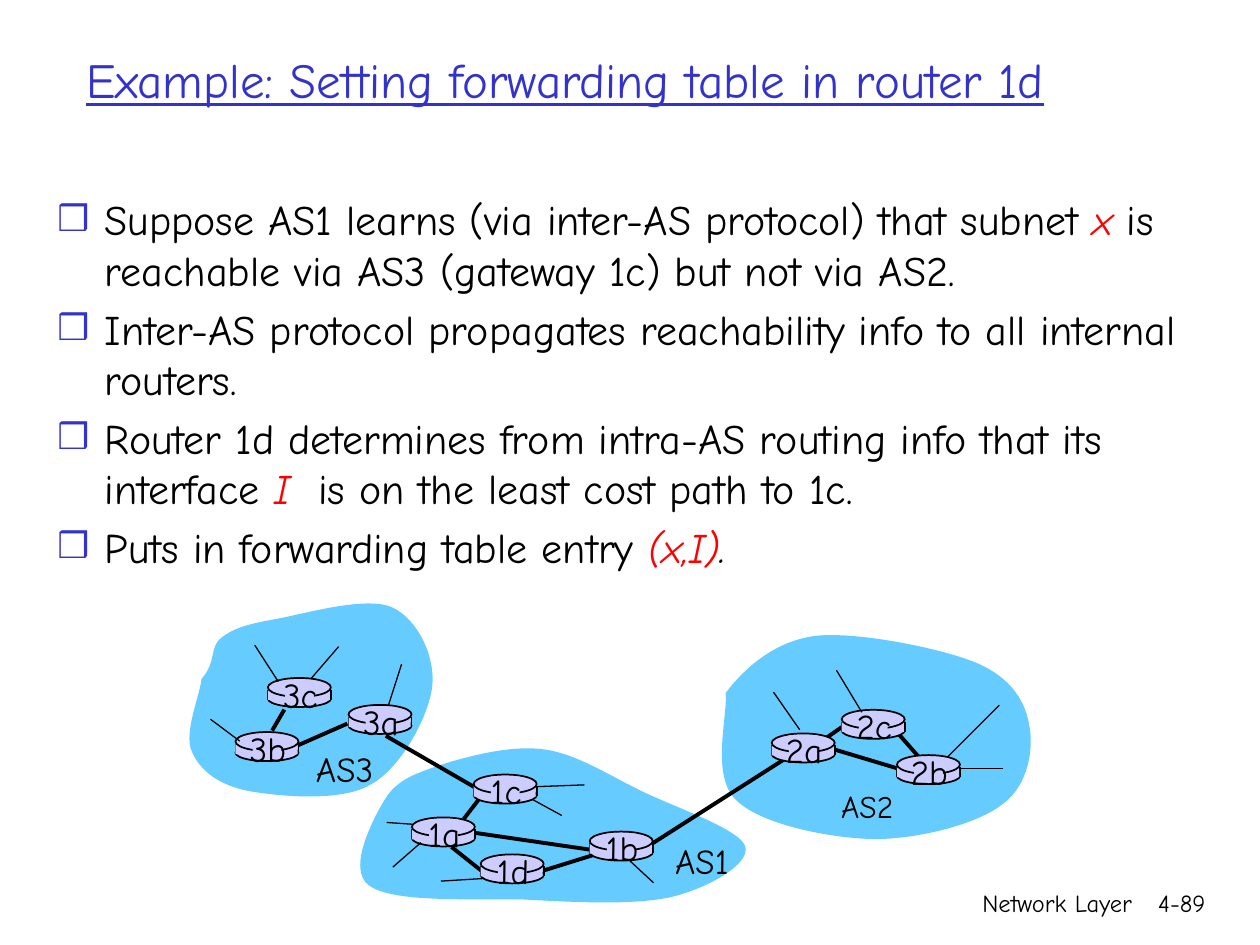
from lxml import etree
from pptx import Presentation
from pptx.dml.color import RGBColor
from pptx.enum.shapes import MSO_CONNECTOR, MSO_SHAPE
from pptx.enum.text import MSO_ANCHOR, MSO_AUTO_SIZE, PP_ALIGN
from pptx.oxml.ns import qn
from pptx.util import Pt

STRAIGHT = MSO_CONNECTOR.STRAIGHT
OVAL, RECTANGLE = MSO_SHAPE.OVAL, MSO_SHAPE.RECTANGLE
TOP, MIDDLE = MSO_ANCHOR.TOP, MSO_ANCHOR.MIDDLE
NO_FIT = MSO_AUTO_SIZE.NONE
LEFT, CENTER, RIGHT = PP_ALIGN.LEFT, PP_ALIGN.CENTER, PP_ALIGN.RIGHT

FONT = "Comic Neue"
BLACK = RGBColor(0x00, 0x00, 0x00)
RED = RGBColor(0xFF, 0x00, 0x00)
BLUE = RGBColor(0x33, 0x33, 0xCC)
SKY = RGBColor(0x66, 0xCC, 0xFF)
LILAC = RGBColor(0xCC, 0xCC, 0xFF)

# Each paragraph is a list of (text, colour, italic) runs
BULLETS = [
    [("Suppose AS1 learns (via inter-AS protocol) that subnet ", BLACK, False),
     ("x", RED, True),
     (" is reachable via AS3 (gateway 1c) but not via AS2.", BLACK, False)],
    [("Inter-AS protocol propagates reachability info to all internal routers.",
      BLACK, False)],
    [("Router 1d determines from intra-AS routing info that its interface ", BLACK, False),
     ("I", RED, True), ("  is on the least cost path to 1c.", BLACK, False)],
    [("Puts in forwarding table entry ", BLACK, False), ("(x,I)", RED, True),
     (".", BLACK, True)],
]

# Each cloud: start point, then Bezier segments (two controls and an end)
CLOUDS = {
    "AS2": ((414.7, 396), [
        (425, 382.5, 441.5, 367, 465, 363.5), (488, 360.5, 535.5, 370, 556, 378),
        (576.5, 386, 585.5, 399.5, 588, 413.5), (591, 427, 588, 448.5, 573, 459.5),
        (558.5, 471, 525, 479.5, 499.5, 479.5), (474, 479, 434, 471, 420.5, 457),
        (406, 443, 416, 409, 414.7, 396)]),
    "AS3": ((115.2, 388), [
        (124, 378, 119.5, 370, 126.5, 364.5), (134, 358.5, 142.5, 356.5, 159, 353.5),
        (175, 350.5, 209, 340.5, 224, 347), (238.5, 353.5, 249, 375, 247, 392.5),
        (245, 409, 229.5, 439, 211.5, 448.5), (194.5, 458.5, 159, 455, 142, 452),
        (124.5, 448.5, 114, 440, 109.5, 429), (105, 418.5, 114.5, 396.5, 115.2, 388)]),
    "AS1": ((220.5, 456), [
        (228, 444, 242, 440.5, 257, 435.5), (272.5, 431, 294.5, 425.5, 312.5, 428.5),
        (330.5, 431.5, 348, 443, 366.5, 452), (386, 461.5, 423.5, 474, 426, 484),
        (428.5, 494, 404.5, 507.5, 384, 512.5), (362, 517.5, 327.5, 515.5, 299, 514),
        (270, 513.5, 224, 516, 211, 506), (198, 497, 213, 468, 220.5, 456)]),
}

# Label, left, top, width, height, size
CLOUD_LABELS = [("AS3", 173.5, 423.4, 55.5, 31, 20), ("AS1", 378.7, 476.3, 52, 31, 20),
                ("AS2", 473.6, 446.4, 51, 29, 18)]

# Left and top of each router
ROUTERS = {
    "3b": (134.6, 418.3), "1d": (274.7, 488.2), "3a": (199.2, 402.8),
    "1c": (270.7, 442.6), "2a": (441, 419.1), "1a": (235.4, 467.1),
    "2c": (481, 405.6), "2b": (512.6, 431.5), "1b": (337, 475.2),
    "3c": (153.1, 387.4),
}

# Links between routers, and short stubs to the hosts around them
LINKS = [
    (477.5, 428.5, 512.5, 439), (514, 420, 525, 432.5), (469.5, 423.5, 482.5, 414.5),
    (310.5, 497.5, 341, 488), (258, 484, 275, 497.5), (272, 476, 337, 485.5),
    (265, 468, 273.5, 457), (170, 426, 198.5, 413.5), (220.5, 420.5, 271.5, 450),
    (372, 482.5, 448, 434), (162.5, 405.5, 155.5, 417.5),
]
STUBS = [
    (120.3, 411, 137, 423.5), (193.5, 369.5, 178, 387.5), (145.6, 368.7, 159, 389.5),
    (229.5, 379.5, 222, 403), (548, 439.2, 573, 439.2), (541.5, 432.5, 571, 403),
    (492.5, 407, 478, 383), (457, 417, 442, 395.5), (240.5, 481.5, 224.5, 495.5),
    (235.5, 471, 221, 470), (276.5, 502, 252, 503.5), (307.5, 449.5, 334, 448.5),
    (360, 492, 373.5, 504.5), (304.5, 457, 321, 466),
]


class SlideBuilder:
    def __init__(self, slide):
        self.slide = slide
        self.shapes = slide.shapes

    def run(self, paragraph, text, size, color=BLACK, italic=False, underline=False):
        run = paragraph.add_run()
        run.text = text
        font = run.font
        font.name, font.size, font.color.rgb = FONT, Pt(size), color
        font.italic, font.underline = italic, underline

    def place(self, shape, left, top, width, height, anchor):
        shape.left, shape.top = Pt(left), Pt(top)
        shape.width, shape.height = Pt(width), Pt(height)
        frame = shape.text_frame
        frame.auto_size, frame.vertical_anchor, frame.word_wrap = NO_FIT, anchor, True
        return frame

    def title(self, text, left, top, width, height):
        frame = self.place(self.shapes.title, left, top, width, height, MIDDLE)
        paragraph = frame.paragraphs[0]
        paragraph.alignment = LEFT
        self.run(paragraph, text, 28, BLUE, underline=True)

    def bullets(self, items, left, top, width, height):
        frame = self.place(self.slide.placeholders[1], left, top, width, height, TOP)
        for index, runs in enumerate(items):
            paragraph = frame.add_paragraph() if index else frame.paragraphs[0]
            paragraph.space_before = Pt(4.8)
            properties = paragraph._p.get_or_add_pPr()
            properties.set("marL", str(Pt(27)))
            properties.set("indent", str(-Pt(27)))
            color = etree.SubElement(properties, qn("a:buClr"))
            etree.SubElement(color, qn("a:srgbClr")).set("val", str(BLUE))
            etree.SubElement(properties, qn("a:buSzPct")).set("val", "85000")
            etree.SubElement(properties, qn("a:buChar")).set("char", "❒")
            for text, text_color, italic in runs:
                self.run(paragraph, text, 24, text_color, italic)

    def text(self, text, left, top, width, height, size, alignment=LEFT, wrap=False):
        box = self.shapes.add_textbox(Pt(left), Pt(top), Pt(width), Pt(height))
        box.text_frame.word_wrap = wrap
        paragraph = box.text_frame.paragraphs[0]
        paragraph.alignment = alignment
        self.run(paragraph, text, size)

    def fill(self, shape, color, outlined=False):
        shape.shadow.inherit = False
        shape.fill.solid()
        shape.fill.fore_color.rgb = color
        if outlined:
            shape.line.color.rgb, shape.line.width = BLACK, Pt(1)
        else:
            shape.line.fill.background()

    def shape(self, kind, left, top, width, height, outlined=False):
        shape = self.shapes.add_shape(kind, Pt(left), Pt(top), Pt(width), Pt(height))
        self.fill(shape, LILAC, outlined)

    def line(self, x1, y1, x2, y2, width):
        line = self.shapes.add_connector(STRAIGHT, Pt(x1), Pt(y1), Pt(x2), Pt(y2))
        line.line.color.rgb, line.line.width = BLACK, Pt(width)
        etree.SubElement(line._element.spPr, qn("a:effectLst"))

    def cloud(self, start, segments):
        outline = self.shapes.build_freeform(Pt(start[0]), Pt(start[1]))
        for segment in segments:
            points = zip(segment[::2], segment[1::2])
            outline.add_line_segments([(Pt(x), Pt(y)) for x, y in points], close=False)
        cloud = outline.convert_to_shape()
        self.fill(cloud, SKY)
        # Join every three straight steps into one Bezier curve
        steps = list(cloud._element.iter(qn("a:lnTo")))
        for first, second, third in zip(steps[::3], steps[1::3], steps[2::3]):
            curve = etree.Element(qn("a:cubicBezTo"))
            first.addprevious(curve)
            for step in (first, second, third):
                curve.append(step[0])
                step.getparent().remove(step)
        etree.SubElement(curve.getparent(), qn("a:close"))

    def router(self, name, left, top):
        self.shape(OVAL, left, top + 7.2, 36, 9.4, outlined=True)
        for x in (left, left + 36):
            self.line(x, top + 6.8, x, top + 12.5, 1)
        self.shape(RECTANGLE, left, top + 6.8, 35.5, 5.8)
        self.shape(OVAL, left, top, 36, 10.8, outlined=True)
        self.shape(RECTANGLE, left + 9.8, top + 1.2, 16.4, 14)
        self.text(name, left, top - 6.3, 37, 31, 20, CENTER)


def main():
    presentation = Presentation()
    presentation.slide_width, presentation.slide_height = Pt(720), Pt(540)
    slide = presentation.slides.add_slide(presentation.slide_layouts[1])
    builder = SlideBuilder(slide)

    # Footer
    builder.text("Network Layer", 426, 504, 228, 36, 14, RIGHT, wrap=True)
    builder.text("4-89", 643, 504, 53, 36, 14, RIGHT, wrap=True)

    # Title and list
    builder.title("Example: Setting forwarding table in router 1d", 42, 0, 646.5, 90)
    builder.bullets(BULLETS, 25.6, 107.2, 669.5, 263.5)

    # Network: clouds, links, routers, stubs
    for start, segments in CLOUDS.values():
        builder.cloud(start, segments)
    for link in LINKS:
        builder.line(*link, 2.25)
    for name, (left, top) in ROUTERS.items():
        builder.router(name, left, top)
    for label in CLOUD_LABELS:
        builder.text(*label)
    for stub in STUBS:
        builder.line(*stub, 0.75)

    presentation.save("out.pptx")


if __name__ == "__main__":
    main()
